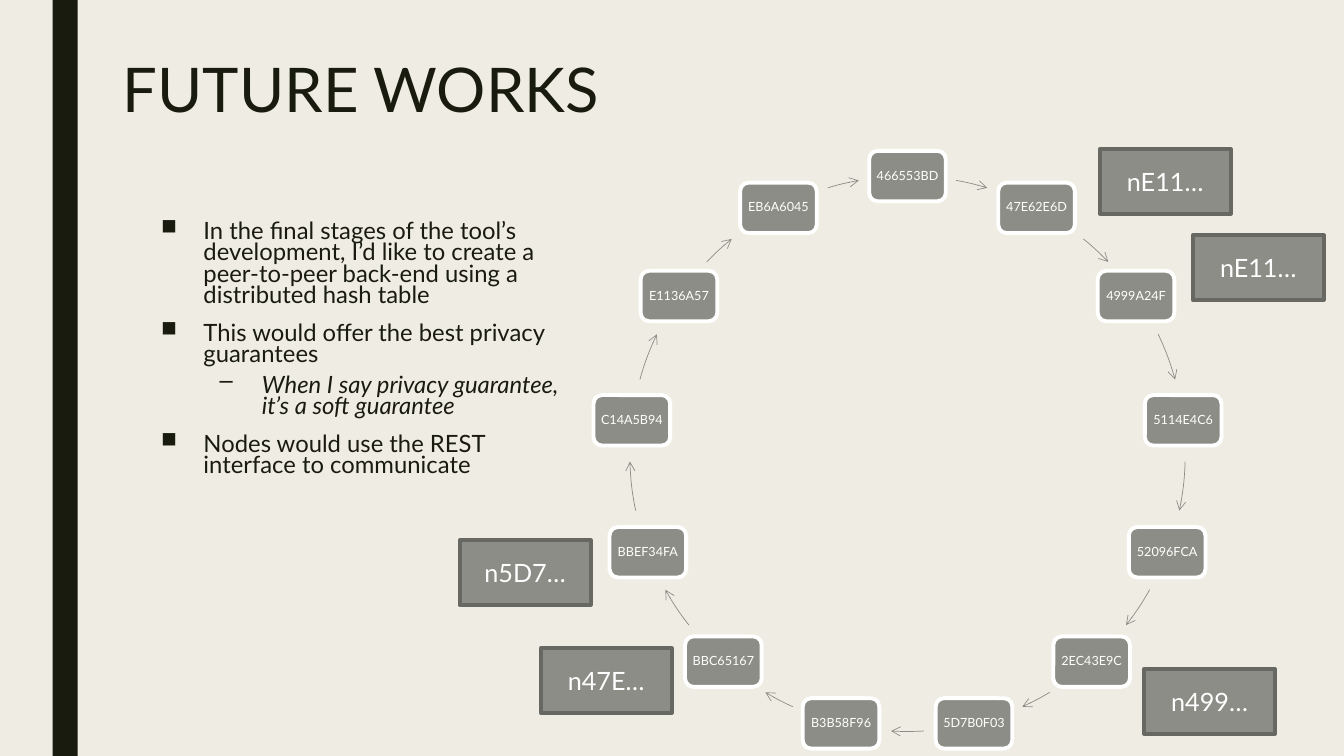
from math import cos, radians, sin

from lxml.etree import SubElement
from pptx import Presentation
from pptx.dml.color import RGBColor
from pptx.enum.shapes import MSO_SHAPE
from pptx.enum.text import MSO_ANCHOR, MSO_AUTO_SIZE, PP_ALIGN
from pptx.oxml.ns import qn
from pptx.util import Pt

INK, PAPER, GREY, EDGE, WHITE = "191B0E", "EFEDE3", "8C8D86", "686863", "FFFFFF"
NODES = ["466553BD", "47E62E6D", "4999A24F", "5114E4C6", "52096FCA",
         "2EC43E9C", "5D7B0F03", "B3B58F96", "BBC65167", "BBEF34FA",
         "C14A5B94", "E1136A57", "EB6A6045"]
HALF = [(10.1, 16.7), (39.3, 46.3), (64.5, 74.5), (91.6, 101.8),
        (119.3, 128.1), (149.2, 155.6)]
ARCS = HALF + [(176.6, 183.4)] + [(360 - b, 360 - a) for a, b in HALF]
TAGS = [("nE11…", 785.5, 106.5), ("n499…", 817.2, 478),
        ("n47E…", 386.2, 463), ("n5D7…", 328.3, 386), ("nE11…", 852, 168)]
POINTS = [
    (0, "In the final stages of the tool’s development, I’d like to create a "
        "peer-to-peer back-end using a distributed hash table"),
    (0, "This would offer the best privacy guarantees"),
    (1, "When I say privacy guarantee, it’s a soft guarantee"),
    (0, "Nodes would use the REST interface to communicate")]
LEVELS = [{"mark": "■", "size": 90, "left": 30.24, "before": 10},
          {"mark": "–", "size": 100, "left": 72, "before": 5}]


def tint(code):
    """Turn a hex string into a colour."""
    return RGBColor.from_string(code)


def apply(item, form):
    """Set each attribute of the item from the format values."""
    for key, value in form.items():
        setattr(item, key, value)


def write(para, text, size, code, slant=False, **form):
    """Add one run of text and format its paragraph."""
    run = para.add_run()
    run.text = text
    apply(run.font, {"name": "Lato", "size": Pt(size), "italic": slant, "bold": False})
    run.font.color.rgb = tint(code)
    apply(para, form)


def block(shapes, kind, box, fill, edge=None, width=2.75):
    """Add a flat preset shape in the box."""
    shape = shapes.add_shape(kind, *map(Pt, box))
    shape.shadow.inherit = False
    shape.fill.solid()
    shape.fill.fore_color.rgb = tint(fill)
    if edge:
        shape.line.color.rgb = tint(edge)
        shape.line.width = Pt(width)
    else:
        shape.line.fill.background()
    return shape


def label(shape, text, size, pad):
    """Centre white text in a shape."""
    frame = shape.text_frame
    sides = ("margin_left", "margin_right", "margin_top", "margin_bottom")
    apply(frame, {"word_wrap": True, "vertical_anchor": MSO_ANCHOR.MIDDLE,
                  **dict.fromkeys(sides, Pt(pad))})
    write(frame.paragraphs[0], text, size, WHITE, alignment=PP_ALIGN.CENTER)


def head(slide, box):
    """Place and fill the title."""
    title = slide.shapes.title
    apply(title, dict(zip(("left", "top", "width", "height"), map(Pt, box))))
    apply(title.text_frame, {"auto_size": MSO_AUTO_SIZE.NONE, "word_wrap": True,
                             "vertical_anchor": MSO_ANCHOR.TOP})
    write(title.text_frame.paragraphs[0], "FUTURE WORKS", 44, INK,
          alignment=PP_ALIGN.LEFT, line_spacing=0.89)


def body(slide, box):
    """Add the bulleted list in the box."""
    frame = slide.shapes.add_textbox(*map(Pt, box)).text_frame
    frame.word_wrap = True
    for i, (level, text) in enumerate(POINTS):
        para = frame.add_paragraph() if i else frame.paragraphs[0]
        look = LEVELS[level]
        write(para, text, 17, INK, slant=level == 1, level=level, line_spacing=0.74,
              space_before=Pt(look["before"]), space_after=Pt(2))
        props = para._p.get_or_add_pPr()
        props.set("marL", str(Pt(look["left"])))
        props.set("indent", str(Pt(-30.24)))
        SubElement(props, qn("a:buSzPct")).set("val", str(look["size"] * 1000))
        SubElement(props, qn("a:buChar")).set("char", look["mark"])


def curve(shapes, box, start, end):
    """Add an arrow along the circle in the box, in degrees from the top."""
    left, top, side, _ = (Pt(n) for n in box)
    path = shapes.build_freeform(left, top)
    path.add_line_segments([(left + side, top + side)], close=False)
    arc = path.convert_to_shape()
    rad, turn = side / 2, radians(start)
    track = next(arc._element.iter(qn("a:path")))
    for part in list(track):
        track.remove(part)
    spot = SubElement(SubElement(track, qn("a:moveTo")), qn("a:pt"))
    sweep = SubElement(track, qn("a:arcTo"))
    marks = [(spot, {"x": rad + rad * sin(turn), "y": rad - rad * cos(turn)}),
             (sweep, {"wR": rad, "hR": rad, "stAng": (start + 270) % 360 * 60000,
                      "swAng": (end - start) * 60000})]
    for part, form in marks:
        for key, value in form.items():
            part.set(key, str(round(value)))
    arc.shadow.inherit = False
    arc.fill.background()
    arc.line.color.rgb = tint(GREY)
    arc.line.width = Pt(0.5)
    SubElement(arc.line._get_or_add_ln(), qn("a:tailEnd")).set("type", "arrow")


def ring(slide, box):
    """Add the circle of hash nodes and the arrows between them."""
    left, top, side, _ = box
    rad = side / 2
    group = slide.shapes.add_group_shape().shapes
    wide, high = 54.7, 36
    for i, (text, (start, end)) in enumerate(zip(NODES, ARCS)):
        turn = radians(360 * i / len(NODES))
        x = left + rad + rad * sin(turn) - wide / 2
        y = top + rad - rad * cos(turn) - high / 2
        node = block(group, MSO_SHAPE.ROUNDED_RECTANGLE, (x, y, wide, high), GREY, WHITE)
        label(node, text, 9, 2.5)
        node.text_frame.paragraphs[0].line_spacing = 0.9
        curve(group, box, start, end)


def tags(slide, size):
    """Add the boxes that name the peers."""
    for text, left, top in TAGS:
        tag = block(slide.shapes, MSO_SHAPE.FLOWCHART_PROCESS,
                    (left, top, *size), GREY, EDGE)
        label(tag, text, 18, 3.6)


def main():
    """Build the slide and save it."""
    deck = Presentation()
    apply(deck, {"slide_width": Pt(960), "slide_height": Pt(540)})
    slide = deck.slides.add_slide(deck.slide_layouts[5])
    slide.background.fill.solid()
    slide.background.fill.fore_color.rgb = tint(PAPER)
    block(slide.shapes, MSO_SHAPE.RECTANGLE, (37.5, 0, 18, 540), INK)
    head(slide, (80.6, 38.9, 756, 116.6))
    body(slide, (108, 155.7, 314, 205))
    ring(slide, (449.9, 125.8, 396.7, 396.7))
    tags(slide, (93.6, 46.1))
    deck.save("out.pptx")


if __name__ == "__main__":
    main()
